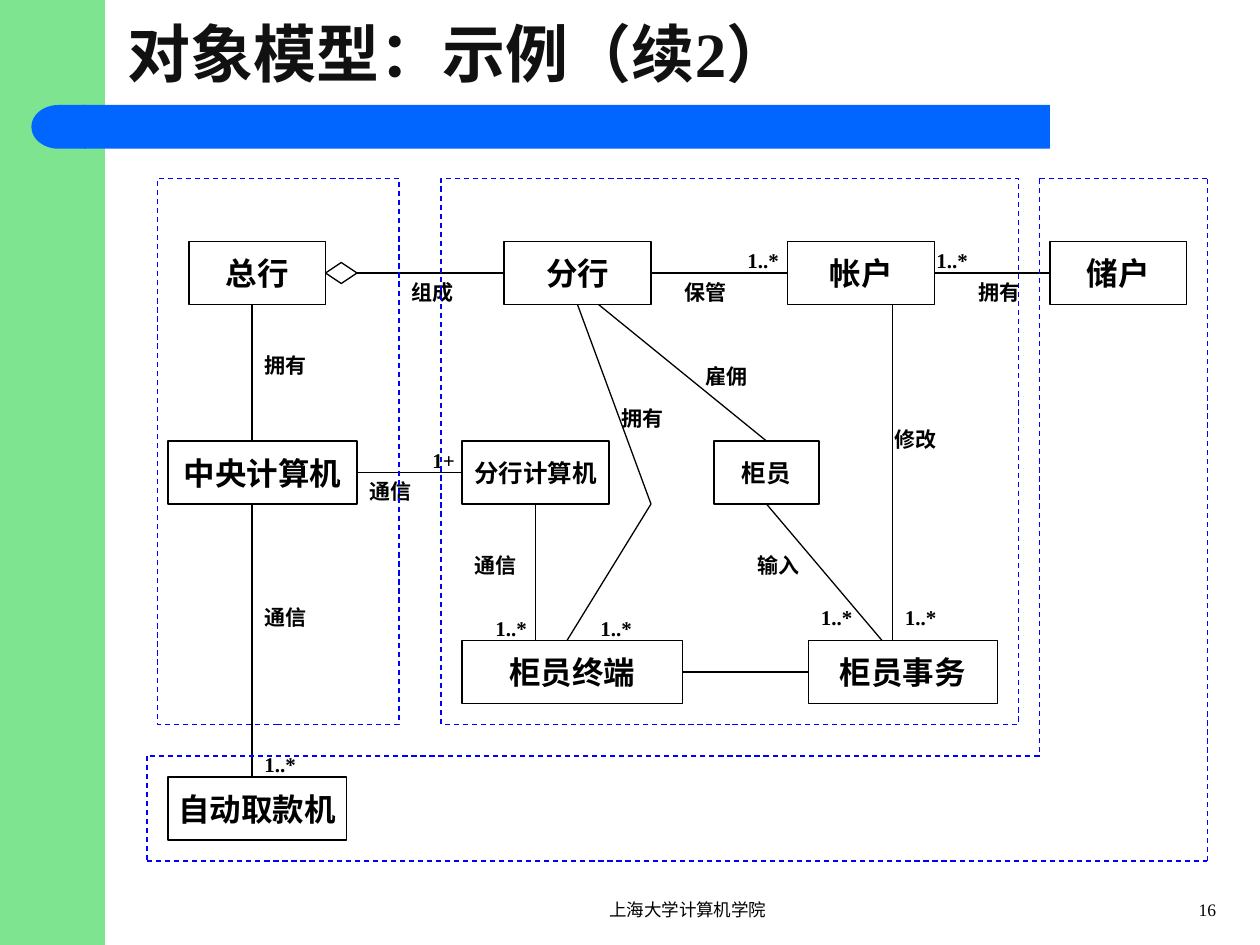
from itertools import pairwise
from typing import NamedTuple

from lxml.etree import SubElement
from pptx import Presentation
from pptx.dml.color import RGBColor
from pptx.enum.dml import MSO_LINE
from pptx.enum.shapes import MSO_CONNECTOR, MSO_SHAPE
from pptx.enum.text import MSO_ANCHOR, MSO_AUTO_SIZE, PP_ALIGN
from pptx.oxml.ns import qn
from pptx.util import Pt

BLACK = RGBColor(0x00, 0x00, 0x00)
TITLE_INK = RGBColor(0x11, 0x11, 0x11)
GREEN = RGBColor(0x7E, 0xE4, 0x8F)
BAR_BLUE = RGBColor(0x00, 0x66, 0xFF)
ZONE_BLUE = RGBColor(0x00, 0x00, 0xFF)
FONT = "Times New Roman"
BOX_HEIGHT = 36
LABEL_HEIGHT = 21.6
TOP, LEFT, BOTTOM, RIGHT = range(4)


class Frame(NamedTuple):
    left: float
    top: float
    width: float
    height: float


class Entity(NamedTuple):
    name: str
    left: float
    top: float
    width: float
    size: float = 18


class Label(NamedTuple):
    text: str
    left: float
    top: float
    width: float


class Point(NamedTuple):
    x: float
    y: float


class Anchor(NamedTuple):
    name: str
    site: int


class Link(NamedTuple):
    start: Point | Anchor
    end: Point | Anchor


ENTITIES = [
    Entity("总行", 108, 138, 78),
    Entity("自动取款机", 96, 444, 102),
    Entity("中央计算机", 96, 252, 108),
    Entity("分行", 288, 138, 84),
    Entity("储户", 600, 138, 78),
    Entity("帐户", 450, 138, 84),
    Entity("分行计算机", 264, 252, 84, 14),
    Entity("柜员终端", 264, 366, 126),
    Entity("柜员", 408, 252, 60, 14),
    Entity("柜员事务", 462, 366, 108),
]
AGGREGATE = "聚合"
LINKS = [
    Link(Anchor(AGGREGATE, RIGHT), Anchor("分行", LEFT)),
    Link(Anchor("中央计算机", RIGHT), Anchor("分行计算机", LEFT)),
    Link(Point(144, 174), Point(144, 252)),
    Link(Point(144, 288), Point(144, 444)),
    Link(Anchor("分行", RIGHT), Anchor("帐户", LEFT)),
    Link(Anchor("帐户", RIGHT), Anchor("储户", LEFT)),
    Link(Point(342, 174), Anchor("柜员", TOP)),
    Link(Anchor("分行", BOTTOM), Point(372, 288)),
    Link(Point(372, 288), Point(324, 366)),
    Link(Anchor("分行计算机", BOTTOM), Point(306, 366)),
    Link(Point(510, 174), Point(510, 366)),
    Link(Anchor("柜员", BOTTOM), Point(504, 366)),
    Link(Anchor("柜员终端", RIGHT), Anchor("柜员事务", LEFT)),
]
LABELS = [
    Label("1+", 240, 252, 30),
    Label("1..*", 420, 138, 36),
    Label("1..*", 528, 138, 36),
    Label("1..*", 144, 426, 36),
    Label("1..*", 510, 342, 42),
    Label("1..*", 462, 342, 42),
    Label("1..*", 276, 348, 36),
    Label("1..*", 336, 348, 36),
    Label("拥有", 144, 198, 48),
    Label("通信", 144, 342, 42),
    Label("雇佣", 396, 204, 42),
    Label("保管", 384, 156, 42),
    Label("拥有", 552, 156, 48),
    Label("组成", 228, 156, 48),
    Label("通信", 204, 270, 42),
    Label("通信", 264, 312, 42),
    Label("拥有", 348, 228, 48),
    Label("输入", 426, 312, 48),
    Label("修改", 504, 240, 42),
]
ZONES = [Frame(90, 102, 138, 312), Frame(252, 102, 330, 312)]
CUSTOMER_ZONE = [
    Point(84, 432), Point(84, 492), Point(690, 492),
    Point(690, 102), Point(594, 102), Point(594, 432),
]


def write(shape, text: str, *, size: float, bold: bool = False,
          color: RGBColor = BLACK, align: PP_ALIGN = PP_ALIGN.LEFT,
          anchor: MSO_ANCHOR = MSO_ANCHOR.TOP, wrap: bool = True,
          before: float = 0, grow: bool = False) -> None:
    frame = shape.text_frame
    frame.word_wrap = wrap
    frame.vertical_anchor = anchor
    frame.auto_size = MSO_AUTO_SIZE.SHAPE_TO_FIT_TEXT if grow else MSO_AUTO_SIZE.NONE
    para = frame.paragraphs[0]
    para.alignment = align
    para.space_before = Pt(before)
    span = para.add_run()
    span.text = text
    span.font.name = FONT
    span.font.size = Pt(size)
    span.font.bold = bold
    span.font.color.rgb = color


def add_text(page, frame: Frame, text: str, **style) -> None:
    write(page.shapes.add_textbox(*map(Pt, frame)), text, **style)


def style_line(line, color: RGBColor, dashed: bool) -> None:
    line.color.rgb = color
    line.width = Pt(0.75)
    if dashed:
        line.dash_style = MSO_LINE.DASH


def add_filled(page, kind: MSO_SHAPE, frame: Frame, color: RGBColor):
    shape = page.shapes.add_shape(kind, *map(Pt, frame))
    shape.shadow.inherit = False
    shape.fill.solid()
    shape.fill.fore_color.rgb = color
    shape.line.fill.background()
    return shape


def add_outline(page, kind: MSO_SHAPE, frame: Frame,
                color: RGBColor = BLACK, dashed: bool = False):
    shape = page.shapes.add_shape(kind, *map(Pt, frame))
    shape.shadow.inherit = False
    shape.fill.background()
    style_line(shape.line, color, dashed)
    return shape


def add_link(page, link: Link, boxes: dict,
             color: RGBColor = BLACK, dashed: bool = False) -> None:
    ends = [end if isinstance(end, Point) else Point(0, 0) for end in link]
    line = page.shapes.add_connector(
        MSO_CONNECTOR.STRAIGHT, *(Pt(value) for end in ends for value in end))
    for end, join in zip(link, (line.begin_connect, line.end_connect)):
        if isinstance(end, Anchor):
            join(boxes[end.name], end.site)
    style_line(line.line, color, dashed)
    SubElement(line._element.spPr, qn("a:effectLst"))


def add_backdrop(page) -> None:
    add_filled(page, MSO_SHAPE.RECTANGLE, Frame(0, 0, 60, 540), GREEN)
    add_filled(page, MSO_SHAPE.RECTANGLE, Frame(48, 60, 552, 25), BAR_BLUE)
    cap = add_filled(page, MSO_SHAPE.FLOWCHART_DELAY, Frame(18, 60, 31, 25), BAR_BLUE)
    cap._element.spPr.xfrm.set("flipH", "1")


def main() -> None:
    deck = Presentation()
    deck.slide_width, deck.slide_height = Pt(720), Pt(540)
    page = deck.slides.add_slide(deck.slide_layouts[6])

    add_backdrop(page)
    add_text(page, Frame(66, 0, 624, 60), "对象模型：示例（续2）", size=36,
             bold=True, color=TITLE_INK, anchor=MSO_ANCHOR.MIDDLE)

    boxes = {AGGREGATE: add_outline(page, MSO_SHAPE.DIAMOND, Frame(186, 150, 18, 12))}
    for entity in ENTITIES:
        frame = Frame(entity.left, entity.top, entity.width, BOX_HEIGHT)
        box = add_outline(page, MSO_SHAPE.RECTANGLE, frame)
        write(box, entity.name, size=entity.size, bold=True, wrap=False,
              align=PP_ALIGN.CENTER, anchor=MSO_ANCHOR.MIDDLE)
        boxes[entity.name] = box
    for link in LINKS:
        add_link(page, link, boxes)
    for label in LABELS:
        frame = Frame(label.left, label.top, label.width, LABEL_HEIGHT)
        add_text(page, frame, label.text, size=12, bold=True, before=7.5, grow=True)

    for zone in ZONES:
        add_outline(page, MSO_SHAPE.RECTANGLE, zone, ZONE_BLUE, dashed=True)
    for start, end in pairwise(CUSTOMER_ZONE + CUSTOMER_ZONE[:1]):
        add_link(page, Link(start, end), boxes, ZONE_BLUE, dashed=True)

    add_text(page, Frame(270, 510, 246, 18), "上海大学计算机学院", size=10,
             align=PP_ALIGN.CENTER)
    add_text(page, Frame(648, 510, 54, 18), "16", size=10, align=PP_ALIGN.RIGHT)
    deck.save("out.pptx")


if __name__ == "__main__":
    main()
